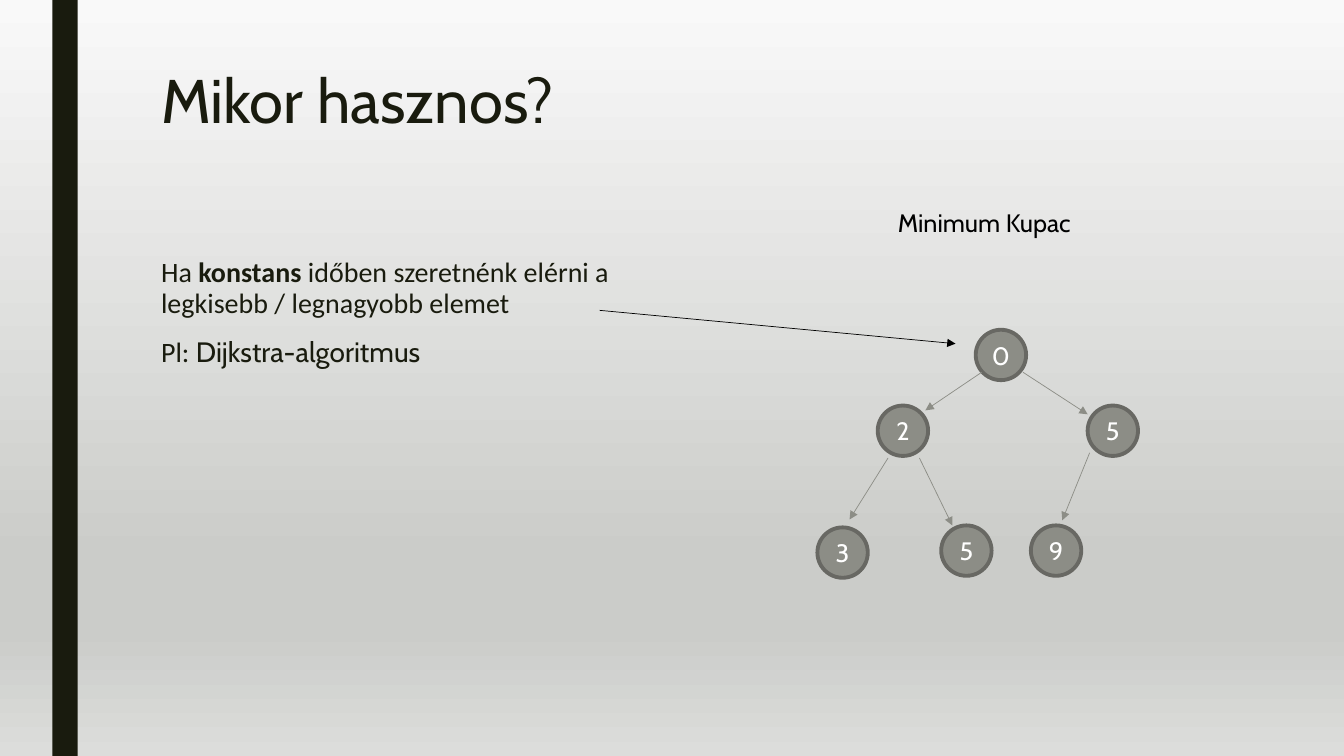
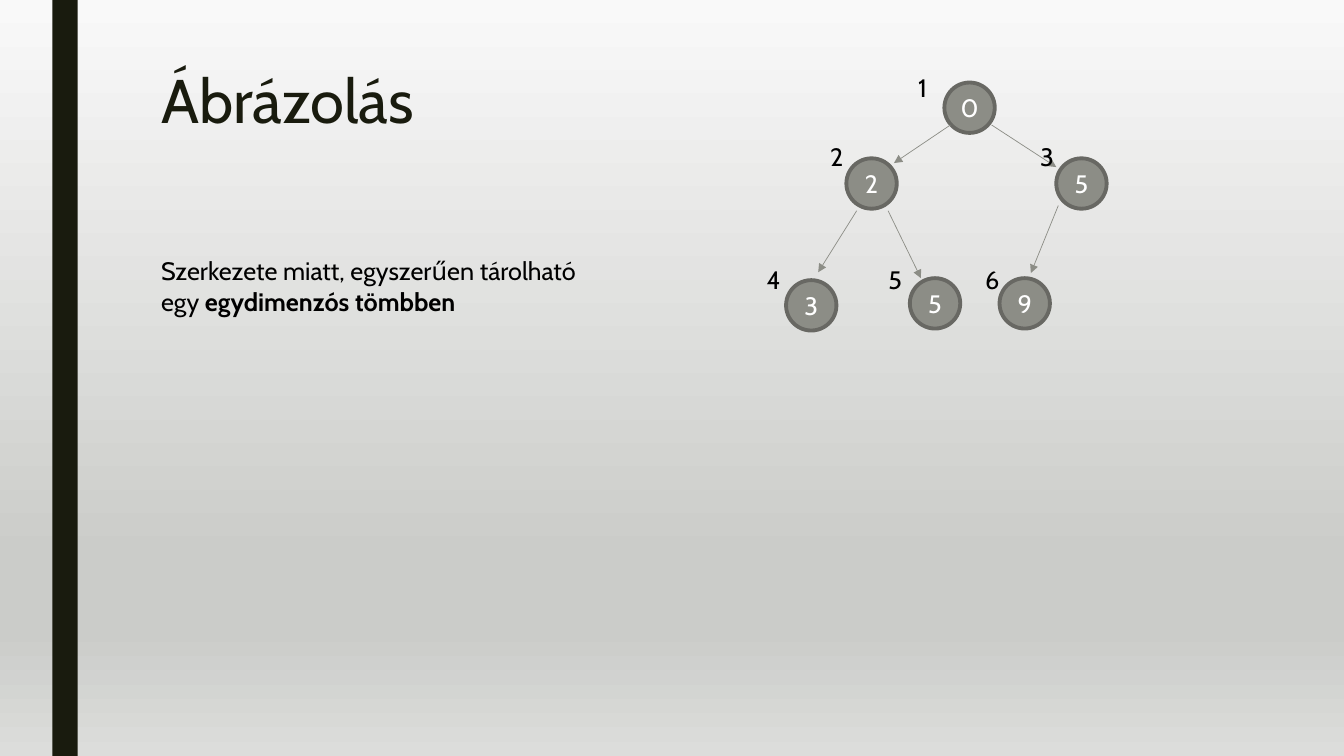
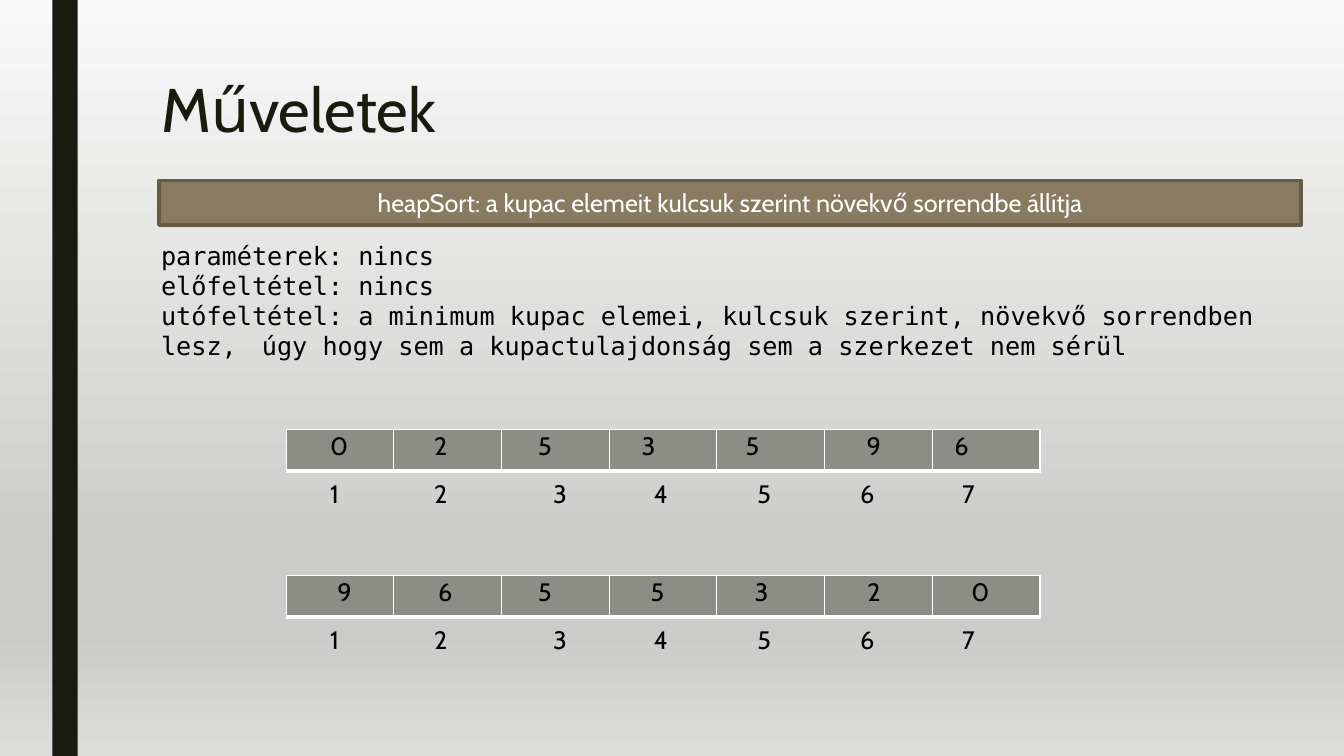
from dataclasses import dataclass

from lxml import etree
from pptx import Presentation
from pptx import util as u
from pptx.dml.color import RGBColor
from pptx.enum import shapes, text
from pptx.oxml.ns import qn

Cm, Pt = u.Cm, u.Pt
SHAPE = shapes.MSO_SHAPE
ALIGN = text.PP_ALIGN
ANCHOR = text.MSO_ANCHOR


@dataclass(frozen=True)
class Theme:
    ink: str = "191B0E"
    black: str = "000000"
    white: str = "FFFFFF"
    grey: str = "8C8D86"
    grey_edge: str = "686863"
    brown: str = "897B61"
    brown_edge: str = "655B48"
    backdrop: tuple = ((0, "F9F9F9"), (74, "CBCCC9"), (83, "CBCCC9"), (100, "DCDDDB"))
    font: str = "Cabin"
    body_font: str = "Calibri"
    code_font: str = "DejaVu Sans Mono"
    title_size: float = 44
    body_size: float = 20
    size: float = 18
    edge: float = 2.75
    thin: float = 0.5


T = Theme()
LEFT = 3.81  # left edge shared by titles and text, cm
NODE = 1.27  # node diameter
LABEL_H = 1.02

# Heap nodes: value, x, y, offset of the index label from the node
NODES = [
    ("0", 3.99, 0, (-0.91, -0.38)),
    ("2", 1.52, 1.91, (-0.66, -0.56)),
    ("5", 6.81, 1.91, (-0.66, -0.56)),
    ("3", 0, 4.98, (-0.74, -0.53)),
    ("5", 3.12, 4.93, (-0.79, -0.48)),
    ("9", 5.38, 4.93, (-0.61, -0.48)),
]
EDGES = [
    (4.14, 1.07, 2.72, 2.03),
    (5.18, 1.07, 6.81, 2.13),
    (1.78, 3.23, 0.81, 4.78),
    (2.57, 3.23, 3.4, 4.93),
    (6.86, 3.1, 6.17, 4.8),
]

# Array strips: digits and their distance from the left edge of the strip
INDEX_X = (0.86, 3.48, 6.48, 9.02, 11.63, 14.22, 16.79)
HEAP_ORDER = ("0253596", (0.86, 3.48, 6.1, 8.71, 11.33, 14.38, 16.59))
SORTED_ORDER = ("9655320", (1.04, 3.58, 6.1, 8.94, 11.56, 14.4, 17.02))


def rgb(value):
    return RGBColor.from_string(value)


def put_text(tf, paragraphs, font=T.font, size=T.size, color=T.black, align=ALIGN.LEFT,
             anchor=ANCHOR.TOP, wrap=True, spacing=None, before=0, after=0):
    """Each paragraph is a list of runs; a run is a string or (string, overrides)."""
    tf.word_wrap = wrap
    tf.vertical_anchor = anchor
    for i, runs in enumerate(paragraphs):
        p = tf.paragraphs[0] if i == 0 else tf.add_paragraph()
        p.alignment = align
        p.space_before, p.space_after = Pt(before), Pt(after)
        if spacing:
            p.line_spacing = spacing
        for run in runs:
            words, extra = (run, {}) if isinstance(run, str) else run
            r = p.add_run()
            r.text = words
            r.font.name = extra.get("font", font)
            r.font.size = Pt(size)
            r.font.bold = extra.get("bold", False)
            r.font.color.rgb = rgb(color)


def add_text(s, box, paragraphs, **fmt):
    sp = s.shapes.add_textbox(*map(Cm, box))
    put_text(sp.text_frame, paragraphs, **fmt)


def add_block(s, kind, box, fill, edge=None, label=None):
    sp = s.shapes.add_shape(kind, *map(Cm, box))
    sp.shadow.inherit = False
    sp.fill.solid()
    sp.fill.fore_color.rgb = rgb(fill)
    if edge:
        sp.line.color.rgb = rgb(edge)
        sp.line.width = Pt(T.edge)
    else:
        sp.line.fill.background()
    if label:
        put_text(sp.text_frame, [[label]], color=T.white, align=ALIGN.CENTER,
                 anchor=ANCHOR.MIDDLE, wrap=False)


def add_arrow(s, ends, color):
    c = s.shapes.add_connector(shapes.MSO_CONNECTOR.STRAIGHT, *map(Cm, ends))
    c.line.color.rgb = rgb(color)
    c.line.width = Pt(T.thin)
    props = c._element.spPr
    etree.SubElement(props.find(qn("a:ln")), qn("a:tailEnd"), type="triangle")
    etree.SubElement(props, qn("a:effectLst"))


def set_backdrop(master):
    fill = master.background.fill
    fill.gradient()
    fill.gradient_angle = 270
    stops = next(master._element.iter(qn("a:gsLst")))
    for stop in list(stops):
        stops.remove(stop)
    for pos, color in T.backdrop:
        stop = etree.SubElement(stops, qn("a:gs"), pos=str(pos * 1000))
        etree.SubElement(stop, qn("a:srgbClr"), val=color)


def new_slide(prs, title, top=1.65):
    s = prs.slides.add_slide(prs.slide_layouts[6])
    add_block(s, SHAPE.RECTANGLE, (1.32, 0, 0.64, 19.05), T.ink)
    add_text(s, (LEFT, top, 26.67, 4.11), [[title]], size=T.title_size,
             color=T.ink, spacing=0.89)
    return s


def add_heap(s, left, top, indexed=False):
    for value, x, y, _ in NODES:
        add_block(s, SHAPE.FLOWCHART_CONNECTOR, (left + x, top + y, NODE, NODE),
                  T.grey, T.grey_edge, value)
    for x1, y1, x2, y2 in EDGES:
        add_arrow(s, (left + x1, top + y1, left + x2, top + y2), T.grey)
    if indexed:
        for i, (_, x, y, (dx, dy)) in enumerate(NODES, 1):
            add_text(s, (left + x + dx, top + y + dy, 7.62, LABEL_H), [[str(i)]])


def set_borders(cell):
    props = cell._tc.get_or_add_tcPr()
    for i, (side, width) in enumerate((("L", 1), ("R", 1), ("T", 1), ("B", 3))):
        ln = etree.Element(qn("a:ln" + side), w=str(Pt(width)))
        fill = etree.SubElement(ln, qn("a:solidFill"))
        etree.SubElement(fill, qn("a:srgbClr"), val=T.white)
        props.insert(i, ln)


def add_digits(s, digits, xs, left, top):
    for digit, x in zip(digits, xs):
        add_text(s, (left + x, top, 0.89, LABEL_H), [[digit]])


def add_array(s, box, values, value_x):
    left, top, width, height = box
    count = len(values)
    table = s.shapes.add_table(1, count, *map(Cm, box)).table
    table.first_row = table.horz_banding = False
    table.rows[0].height = Cm(height)
    for col in table.columns:
        col.width = Cm(width / count)
    for cell in table.iter_cells():
        cell.fill.solid()
        cell.fill.fore_color.rgb = rgb(T.grey)
        set_borders(cell)
    add_digits(s, values, value_x, left, top - 0.1)
    add_digits(s, "1234567", INDEX_X, left, top + 1.11)


def usage_slide(prs):
    s = new_slide(prs, "Mikor hasznos?")
    add_text(s, (LEFT, 6.35, 12.55, 9.96), [
        ["Ha ", ("konstans ", {"bold": True}),
         "időben szeretnénk elérni a legkisebb / legnagyobb elemet"],
        ["Pl:\u00a0", ("Dijkstra-algoritmus", {"font": T.font})],
    ], font=T.body_font, size=T.body_size, color=T.ink, spacing=0.94, before=10, after=2)
    add_heap(s, 20.6, 8.31)
    add_text(s, (22.38, 5.11, 7.62, LABEL_H), [["Minimum Kupac"]])
    add_arrow(s, (15.11, 7.82, 24.08, 8.66), T.black)


def storage_slide(prs):
    s = new_slide(prs, "Ábrázolás")
    add_heap(s, 19.81, 2.08, indexed=True)
    add_text(s, (LEFT, 6.32, 11.84, 1.8), [
        ["Szerkezete miatt, egyszerűen tárolható egy ",
         ("egydimenzós tömbben", {"bold": True})],
    ])


def operations_slide(prs):
    s = new_slide(prs, "Műveletek", top=1.9)
    add_block(s, SHAPE.RECTANGLE, (4.01, 4.55, 28.78, 1.12), T.brown, T.brown_edge,
              "heapSort: a kupac elemeit kulcsuk szerint növekvő sorrendbe állítja")
    add_text(s, (LEFT, 5.92, 28.6, 3.33), [
        ["paraméterek: nincs"],
        ["előfeltétel: nincs"],
        ["utófeltétel: a minimum kupac elemei, kulcsuk szerint, növekvő sorrendben "
         "lesz, \túgy hogy sem a kupactulajdonság sem a szerkezet nem sérül"],
    ], font=T.code_font)
    for top, (values, value_x) in ((10.82, HEAP_ORDER), (14.5, SORTED_ORDER)):
        add_array(s, (7.21, top, 19, 1.04), values, value_x)


prs = Presentation()
prs.slide_width, prs.slide_height = Cm(33.87), Cm(19.05)
set_backdrop(prs.slide_master)
usage_slide(prs)
storage_slide(prs)
operations_slide(prs)
prs.save("out.pptx")
